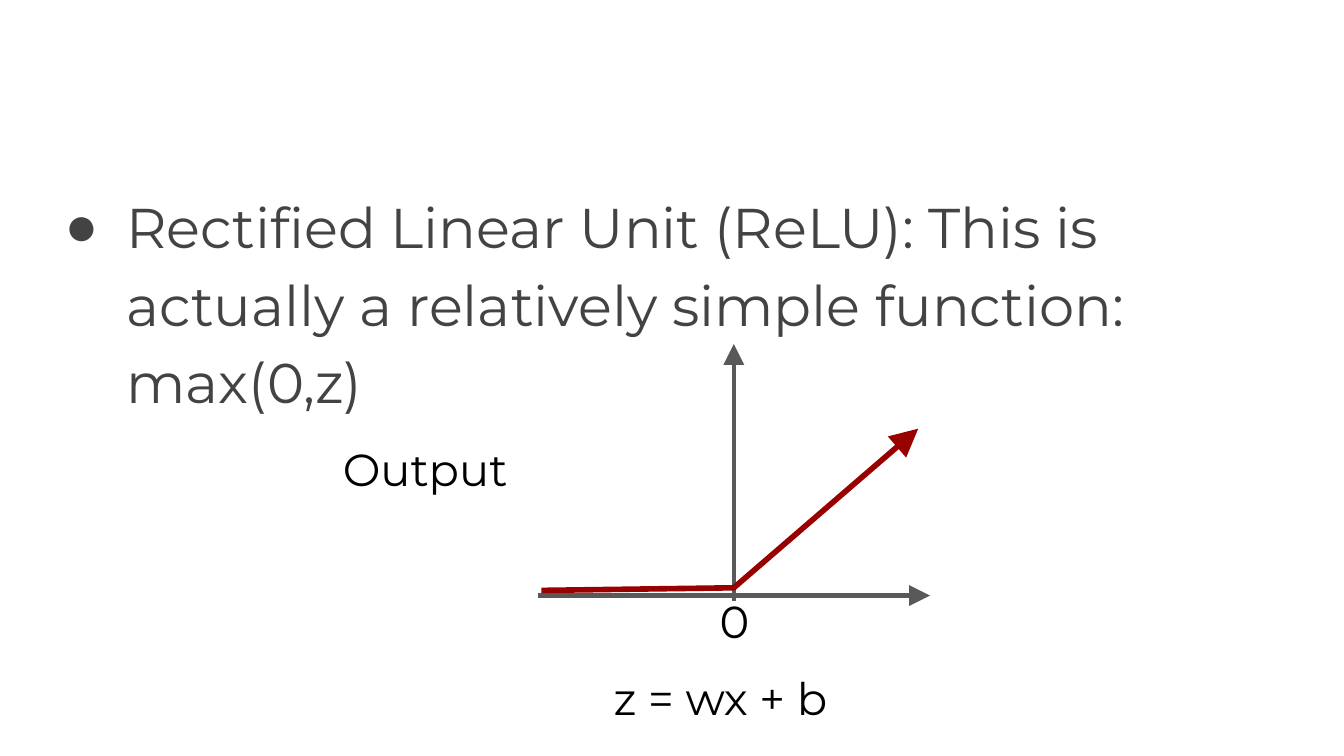
import pptx
import pptx.dml.color
import pptx.enum.shapes
import pptx.enum.text
import pptx.oxml
import pptx.oxml.ns
import pptx.util

WIDTH = pptx.util.Inches(10)
HEIGHT = WIDTH * 9 // 16
FONT = "Montserrat"
BODY_COLOR = "434343"
AXIS_COLOR = "595959"
CURVE_COLOR = "990000"


def color(value):
    """Return the RGB colour of a hex string."""
    return pptx.dml.color.RGBColor.from_string(value)


def inch_box(*lengths):
    """Return a box of left, top, width and height given in inches."""
    return tuple(pptx.util.Inches(length) for length in lengths)


def drawing_element(tag, **attributes):
    """Return a new DrawingML element with the given attributes."""
    element = pptx.oxml.parse_xml(f"<a:{tag} {pptx.oxml.ns.nsdecls('a')}/>")
    for name, value in attributes.items():
        element.set(name, str(value))
    return element


def point(box, across, down):
    """Return the position at the given shares of a box."""
    left, top, width, height = box
    return round(left + across * width), round(top + down * height)


def part(box, across, down, wide, high):
    """Return the box that takes the given shares of another box."""
    return *point(box, across, down), round(wide * box[2]), round(high * box[3])


def write(shape, text, size=24, hex_color="000000"):
    """Fill a shape with one formatted paragraph and return the paragraph."""
    frame = shape.text_frame
    frame.word_wrap = True
    frame.auto_size = pptx.enum.text.MSO_AUTO_SIZE.NONE
    frame.vertical_anchor = pptx.enum.text.MSO_ANCHOR.TOP
    frame.margin_left = frame.margin_right = pptx.util.Inches(0.1)
    frame.margin_top = frame.margin_bottom = pptx.util.Inches(0.1)
    paragraph = frame.paragraphs[0]
    run = paragraph.add_run()
    run.text = text
    run.font.name = FONT
    run.font.size = pptx.util.Pt(size)
    run.font.color.rgb = color(hex_color)
    return paragraph


def style_arrow(shape, hex_color, weight):
    """Give a line its colour and weight, and a large arrowhead at its end."""
    shape.line.color.rgb = color(hex_color)
    shape.line.width = pptx.util.Pt(weight)
    arrowhead = drawing_element("tailEnd", type="triangle", w="lg", len="lg")
    shape.line._get_or_add_ln().append(arrowhead)


def add_definition(slide, box):
    """Place the bulleted definition in the body placeholder."""
    body = slide.placeholders[1]
    body.left, body.top, body.width, body.height = box
    paragraph = write(
        body,
        "Rectified Linear Unit (ReLU): This is actually a relatively simple function: max(0,z)",
        size=30,
        hex_color=BODY_COLOR,
    )
    paragraph.line_spacing = 1.15
    paragraph.space_before = pptx.util.Pt(0)
    paragraph.space_after = pptx.util.Pt(16)
    properties = paragraph._p.get_or_add_pPr()
    properties.set("marL", str(pptx.util.Inches(0.5)))
    properties.set("indent", str(pptx.util.Inches(-0.46)))
    bullet_color = drawing_element("buClr")
    bullet_color.append(drawing_element("srgbClr", val=BODY_COLOR))
    properties.append(bullet_color)
    properties.append(drawing_element("buChar", char="●"))


def add_axis(slide, start, end):
    """Draw one axis with an arrowhead at its end."""
    axis = slide.shapes.add_connector(
        pptx.enum.shapes.MSO_CONNECTOR.STRAIGHT, *start, *end
    )
    style_arrow(axis, AXIS_COLOR, 2.25)
    axis._element.spPr.append(drawing_element("effectLst"))


def add_plot(slide, box):
    """Draw the ReLU plot with its axes, labels and curve."""
    add_axis(slide, point(box, 0.5, 1), point(box, 0.5, 0))
    add_axis(slide, point(box, 0, 0.98), point(box, 1, 0.98))
    labels = [
        ("z = wx + b", 0.16, 1.22, 0.75),
        ("Output", -0.53, 0.33, 0.51),
        ("0", 0.43, 0.92, 0.17),
    ]
    for text, across, down, wide in labels:
        write(slide.shapes.add_textbox(*part(box, across, down, wide, 0.24)), text)
    start, *bends = [
        point(box, *shares) for shares in [(0.01, 0.96), (0.5, 0.95), (0.97, 0.33)]
    ]
    builder = slide.shapes.build_freeform(*start)
    builder.add_line_segments(bends, close=False)
    curve = builder.convert_to_shape()
    curve.shadow.inherit = False
    curve.fill.background()
    style_arrow(curve, CURVE_COLOR, 3)


def main():
    """Build the slide and save the presentation."""
    presentation = pptx.Presentation()
    presentation.slide_width = WIDTH
    presentation.slide_height = HEIGHT
    slide = presentation.slides.add_slide(presentation.slide_layouts[1])
    title = slide.shapes.title._element
    title.getparent().remove(title)
    add_definition(slide, inch_box(0.34, 1.26, 9.6, 1.24))
    add_plot(slide, inch_box(4, 2.56, 2.92, 1.91))
    presentation.save("out.pptx")


if __name__ == "__main__":
    main()
